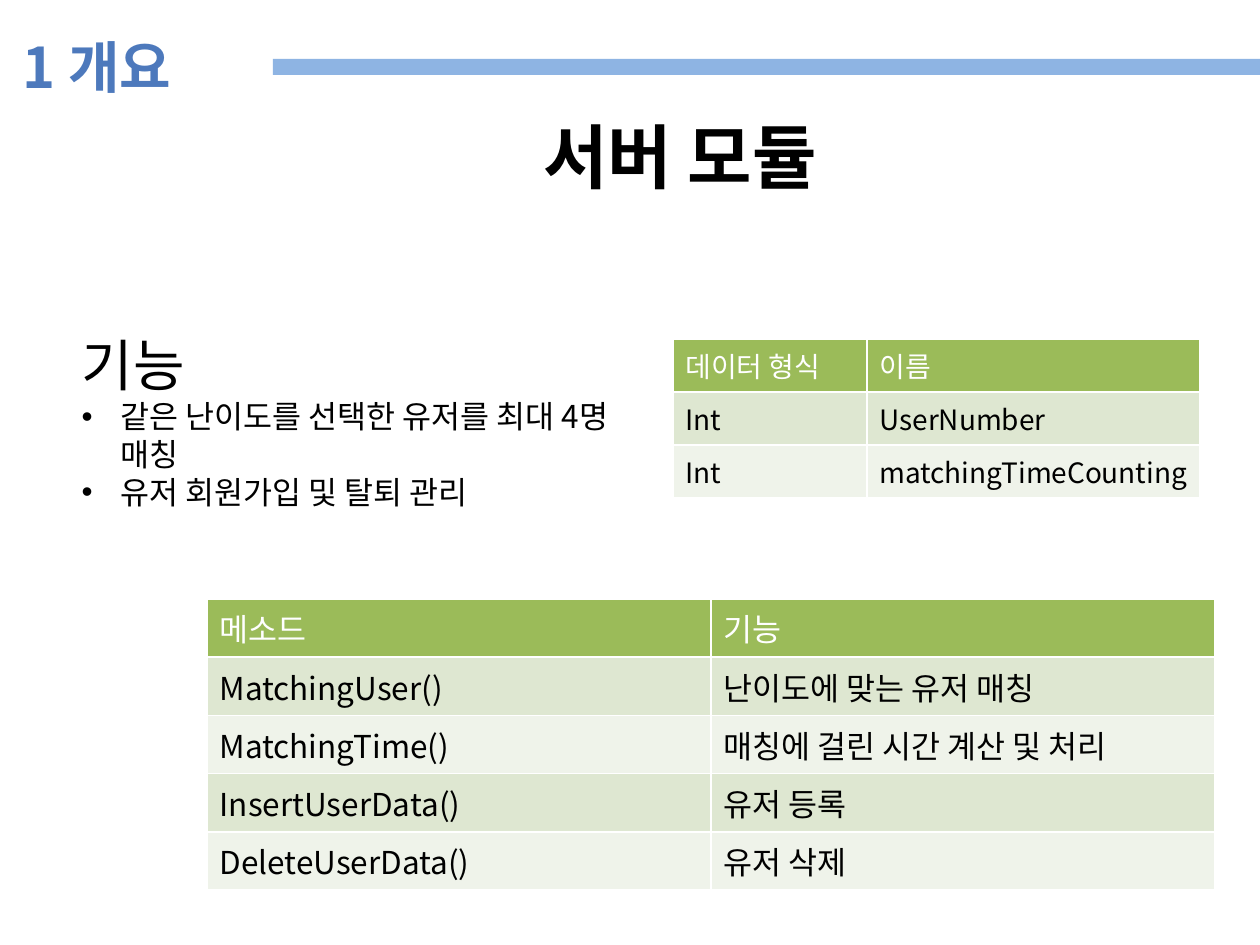
from pptx import Presentation
from pptx.dml.color import RGBColor
from pptx.enum.shapes import MSO_SHAPE as Shape
from pptx.enum.text import MSO_ANCHOR as Anchor, MSO_AUTO_SIZE as Fit, PP_ALIGN as Align
from pptx.oxml.ns import qn
from pptx.util import Emu, Pt
from lxml.etree import SubElement

PIXEL = 914400 // 126
FONT = "Noto Sans CJK KR"
BLACK = RGBColor(0x00, 0x00, 0x00)
WHITE = RGBColor(0xFF, 0xFF, 0xFF)
SKY = RGBColor(0x8E, 0xB4, 0xE3)
BLUE = RGBColor(0x4D, 0x79, 0xBC)
GREEN = RGBColor(0x9B, 0xBB, 0x59)
BANDS = (RGBColor(0xEF, 0xF3, 0xEA), RGBColor(0xDE, 0xE7, 0xD1))

VARIABLES = [
    ("데이터 형식", "이름"),
    ("Int", "UserNumber"),
    ("Int", "matchingTimeCounting"),
]
METHODS = [
    ("메소드", "기능"),
    ("MatchingUser()", "난이도에 맞는 유저 매칭"),
    ("MatchingTime()", "매칭에 걸린 시간 계산 및 처리"),
    ("InsertUserData()", "유저 등록"),
    ("DeleteUserData()", "유저 삭제"),
]
FEATURES = ["같은 난이도를 선택한 유저를 최대 4명 매칭", "유저 회원가입 및 탈퇴 관리"]


def px(count):
    return Emu(count * PIXEL)


def apply(target, values):
    for name, value in values.items():
        setattr(target, name, value)


def place(box, left, top, width, height):
    apply(box, {"left": px(left), "top": px(top), "width": px(width), "height": px(height)})


def write(para, text, size, color, bold=False):
    span = para.add_run()
    span.text = text
    apply(span.font, {"name": FONT, "size": Pt(size), "bold": bold})
    span.font.color.rgb = color
    SubElement(span.font._element, qn("a:ea")).set("typeface", FONT)


def set_frame(box, anchor, wrap=True):
    frame = box.text_frame
    apply(frame, {"word_wrap": wrap, "auto_size": Fit.NONE, "vertical_anchor": anchor})
    return frame


def set_bullet(para, symbol=None):
    props = para._p.get_or_add_pPr()
    indent = px(39) if symbol else 0
    props.set("marL", str(indent))
    props.set("indent", str(-indent))
    if symbol:
        SubElement(props, qn("a:buFont")).set("typeface", "Arial")
        SubElement(props, qn("a:buChar")).set("char", symbol)
    else:
        SubElement(props, qn("a:buNone"))


def add_bar(page):
    bar = page.shapes.add_shape(Shape.RECTANGLE, px(273), px(59), px(992), px(16))
    bar.shadow.inherit = False
    bar.fill.solid()
    bar.fill.fore_color.rgb = SKY
    bar.line.fill.background()


def add_section(page):
    box = page.shapes.add_textbox(px(10), px(26), px(192), px(81))
    write(set_frame(box, Anchor.TOP, False).paragraphs[0], "1 개요", 32, BLUE, True)


def fill_title(page):
    title = page.shapes.title
    place(title, 412, 107, 536, 97)
    para = set_frame(title, Anchor.MIDDLE).paragraphs[0]
    para.alignment = Align.CENTER
    write(para, "서버 모듈", 40, BLACK, True)


def fill_body(page):
    body = page.placeholders[1]
    place(body, 69, 324, 573, 195)
    frame = set_frame(body, Anchor.TOP)
    for index, text in enumerate(["기능"] + FEATURES):
        para = frame.add_paragraph() if index else frame.paragraphs[0]
        para.space_before = Pt(0)
        set_bullet(para, "•" if index else None)
        write(para, text, 18 if index else 32, BLACK)


def add_grid(page, rows, left, top, widths, row_height, size):
    height = row_height * len(rows)
    frame = page.shapes.add_table(len(rows), len(widths), px(left), px(top), px(sum(widths)), px(height))
    table = frame.table
    for column, width in zip(table.columns, widths):
        column.width = px(width)
    for index, texts in enumerate(rows):
        table.rows[index].height = px(row_height)
        for cell, text in zip(table.rows[index].cells, texts):
            cell.fill.solid()
            cell.fill.fore_color.rgb = BANDS[index % 2] if index else GREEN
            write(cell.text_frame.paragraphs[0], text, size, BLACK if index else WHITE)


def main():
    deck = Presentation()
    apply(deck, {"slide_width": px(1260), "slide_height": px(945)})
    page = deck.slides.add_slide(deck.slide_layouts[1])
    add_bar(page)
    add_section(page)
    fill_title(page)
    fill_body(page)
    add_grid(page, VARIABLES, 673, 339, (194, 333), 46, 16)
    add_grid(page, METHODS, 207, 599, (504, 504), 50, 18)
    deck.save("out.pptx")


main()
